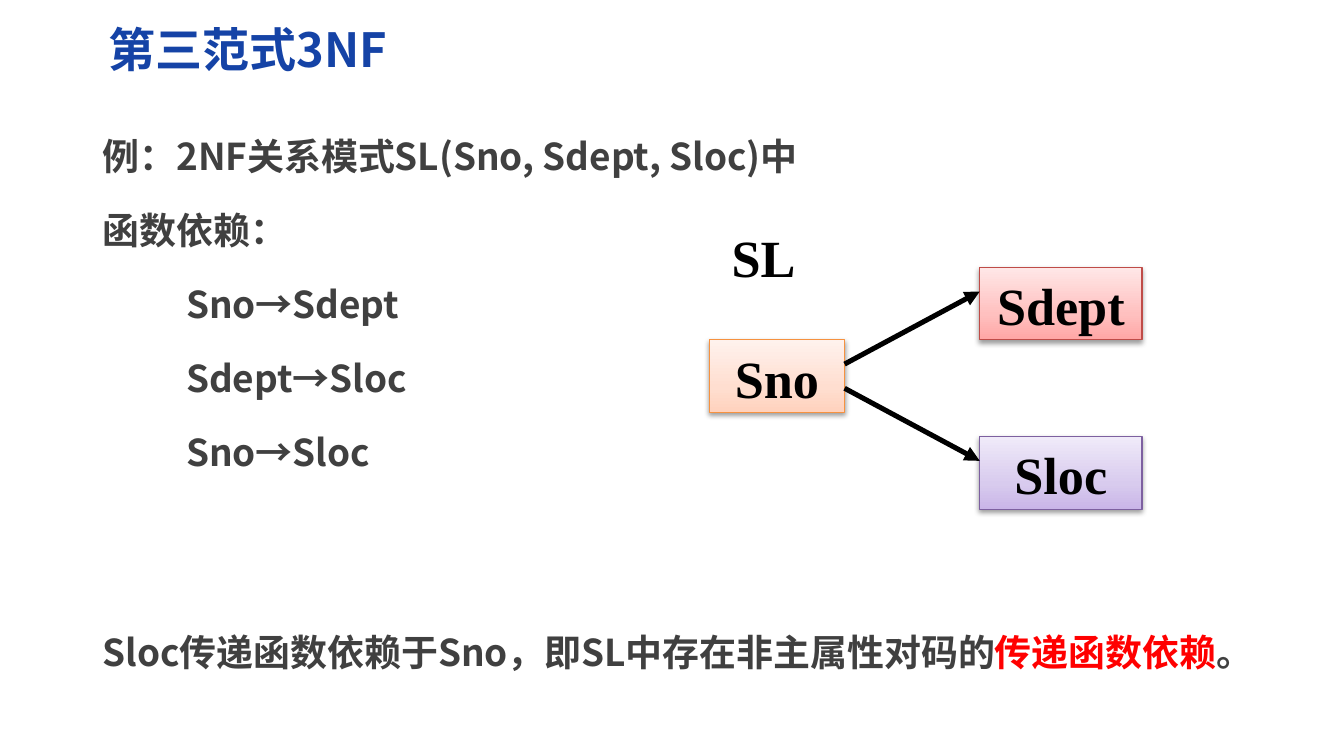
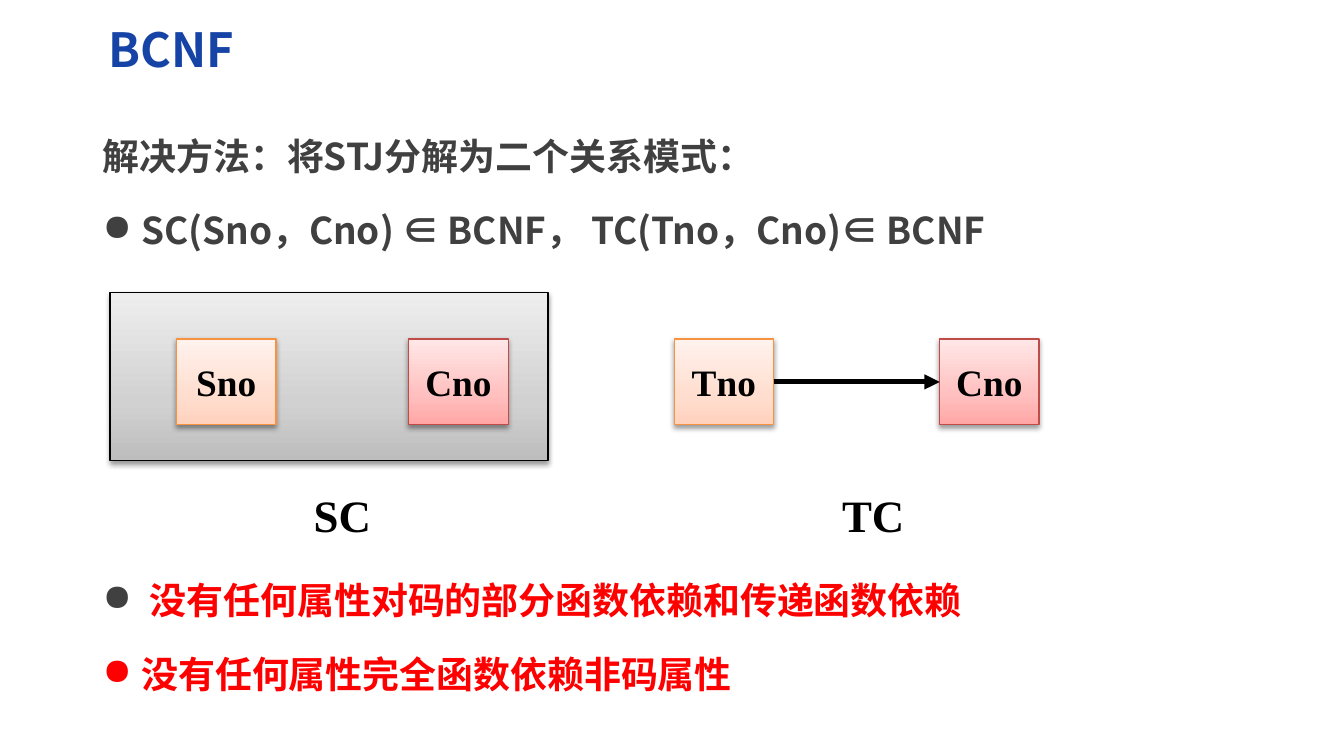
from copy import deepcopy
from dataclasses import dataclass
from lxml.etree import SubElement
from pptx import Presentation
from pptx.dml.color import RGBColor
from pptx.enum.shapes import MSO_CONNECTOR, MSO_SHAPE
from pptx.enum.text import MSO_ANCHOR, MSO_AUTO_SIZE, PP_ALIGN
from pptx.oxml.ns import qn
from pptx.util import Inches, Pt

BLUE = RGBColor(0x15, 0x43, 0xA6)
GREY = RGBColor(0x40, 0x40, 0x40)
RED = RGBColor(0xFF, 0x00, 0x00)
BLACK = RGBColor(0x00, 0x00, 0x00)
SANS = "Noto Sans CJK SC"
SERIF = "Times New Roman"


def palette(line, *stops):
    return RGBColor.from_string(line), [RGBColor.from_string(stop) for stop in stops]


ORANGE_BOX = palette("F69240", "FFD2BD", "FFDED0", "FFF2ED")
RED_BOX = palette("BF4C48", "FFA6A5", "FFC0BF", "FFE7E7")
PURPLE_BOX = palette("7D60A0", "C9B5E8", "D8CBEE", "F0EAF9")
GREY_BOX = palette("000000", "BDBDBD", "D1D1D1", "EEEEEE")


@dataclass
class Grid:
    left: float
    top: float
    width: float
    height: float
    columns: int
    rows: int

    def point(self, column, row):
        return (Inches(self.left + column * self.width / self.columns),
                Inches(self.top + row * self.height / self.rows))

    def area(self, column, row, columns, rows):
        left, top = self.point(column, row)
        right, bottom = self.point(column + columns, row + rows)
        return left, top, right - left, bottom - top

    def region(self, column, row, columns, rows, inner_columns, inner_rows):
        inches = [length / Inches(1) for length in self.area(column, row, columns, rows)]
        return Grid(*inches, inner_columns, inner_rows)


PAGE = Grid(0, 0, 11.11, 6.25, 100, 100)


def add_span(para, text, font, size, color):
    span = para.add_run()
    span.text = text
    span.font.name = font
    span.font.size = Pt(size)
    span.font.bold = True
    span.font.color.rgb = color
    SubElement(span.font._element, qn("a:ea")).set("typeface", font)


def add_title(page, text):
    title = page.shapes.title
    title.left, title.top, title.width, title.height = PAGE.area(7.11, 1.92, 88.3, 9.12)
    frame = title.text_frame
    frame.auto_size = MSO_AUTO_SIZE.NONE
    frame.vertical_anchor = MSO_ANCHOR.MIDDLE
    frame.margin_left = frame.margin_right = Inches(0.11)
    frame.margin_top = frame.margin_bottom = Inches(0.06)
    para = frame.paragraphs[0]
    para.alignment = PP_ALIGN.LEFT
    add_span(para, text, SANS, 28, BLUE)


def add_indent(para, indent, bullet):
    properties = para._p.get_or_add_pPr()
    properties.set("marL", str(Inches(indent)))
    if bullet is not None:
        properties.set("indent", str(-Inches(indent)))
        color = SubElement(properties, qn("a:buClr"))
        SubElement(color, qn("a:srgbClr")).set("val", str(bullet))
        SubElement(properties, qn("a:buChar")).set("char", "●")


def add_body(page, top, lines):
    box = page.shapes.add_textbox(*PAGE.area(6.75, top, 88.57, 9.78 * len(lines)))
    frame = box.text_frame
    frame.word_wrap = True
    frame.margin_top = frame.margin_bottom = 0
    for index, (indent, bullet, spans) in enumerate(lines):
        para = frame.add_paragraph() if index else frame.paragraphs[0]
        para.line_spacing = Pt(44)
        add_indent(para, indent, bullet)
        for text, color in spans:
            add_span(para, text, SANS, 22, color)


def add_label(shape, text, size, anchor=MSO_ANCHOR.TOP):
    frame = shape.text_frame
    frame.word_wrap = True
    frame.vertical_anchor = anchor
    para = frame.paragraphs[0]
    para.alignment = PP_ALIGN.CENTER
    add_span(para, text, SERIF, size, BLACK)


def add_caption(page, area, text, size):
    add_label(page.shapes.add_textbox(*area), text, size)


def add_shadow(shape):
    shape.shadow.inherit = False
    effects = shape._element.spPr.find(qn("a:effectLst"))
    shadow = SubElement(effects, qn("a:outerShdw"), blurRad=str(Pt(3.1)),
                        dist=str(Pt(1.6)), dir="5400000", rotWithShape="0")
    color = SubElement(shadow, qn("a:srgbClr"), val=str(BLACK))
    SubElement(color, qn("a:alpha"), val="38000")


def add_box(page, area, colors):
    line, stops = colors
    shape = page.shapes.add_shape(MSO_SHAPE.RECTANGLE, *area)
    shape.fill.gradient()
    shape.fill.gradient_angle = 90
    stop_list = shape._element.spPr.find(qn("a:gradFill")).find(qn("a:gsLst"))
    stop_list.append(deepcopy(stop_list[0]))
    for stop, color, position in zip(shape.fill.gradient_stops, stops, (0, 0.35, 1)):
        stop.color.rgb = color
        stop.position = position
    shape.line.color.rgb = line
    shape.line.width = Pt(0.75)
    add_shadow(shape)
    return shape


def add_arrow(page, start, end):
    arrow = page.shapes.add_connector(MSO_CONNECTOR.STRAIGHT, *start, *end)
    arrow.line.color.rgb = BLACK
    arrow.line.width = Pt(3)
    SubElement(arrow.line._get_or_add_ln(), qn("a:tailEnd"), type="triangle")
    SubElement(arrow._element.spPr, qn("a:effectLst"))


def add_dependency_diagram(page, grid):
    add_caption(page, grid.area(0, 0, 6, 3), "SL", 31.1)
    for text, column, row, columns, colors in (
            ("Sno", 1, 5, 5, ORANGE_BOX),
            ("Sdept", 11, 2, 6, RED_BOX),
            ("Sloc", 11, 9, 6, PURPLE_BOX)):
        add_label(add_box(page, grid.area(column, row, columns, 3), colors), text, 31.1)
    for start_row, end_row in ((6, 3), (7, 10)):
        add_arrow(page, grid.point(6, start_row), grid.point(11, end_row))


def add_decomposition_diagram(page, grid):
    add_box(page, grid.area(0, 0, 13.2, 19.6), GREY_BOX)
    for text, column, colors in (
            ("Sno", 2, ORANGE_BOX), ("Cno", 9, RED_BOX),
            ("Tno", 17, ORANGE_BOX), ("Cno", 25, RED_BOX)):
        shape = add_box(page, grid.area(column, 5.4, 3, 10), colors)
        add_label(shape, text, 22.2, MSO_ANCHOR.MIDDLE)
    add_arrow(page, grid.point(20, 10.4), grid.point(25, 10.4))
    for text, column in (("SC", 5), ("TC", 21)):
        add_caption(page, grid.area(column, 22, 4, 10), text, 26.7)


def add_page(deck, title):
    page = deck.slides.add_slide(deck.slide_layouts[5])
    add_title(page, title)
    return page


def build_third_form(deck):
    page = add_page(deck, "第三范式3NF")
    add_body(page, 13.76, [
        (0, None, [("例：2NF关系模式SL(Sno, Sdept, Sloc)中", GREY)]),
        (0, None, [("函数依赖：", GREY)]),
        *[(0.69, None, [(text, GREY)])
          for text in ("Sno→Sdept", "Sdept→Sloc", "Sno→Sloc")],
    ])
    add_body(page, 79.36, [(0, None, [
        ("Sloc传递函数依赖于Sno，即SL中存在非主属性对码的", GREY),
        ("传递函数依赖", RED),
        ("。", GREY),
    ])])
    add_dependency_diagram(page, PAGE.region(50.77, 28.96, 34.2, 38.4, 17, 12))


def build_boyce_codd(deck):
    page = add_page(deck, "BCNF")
    add_body(page, 13.76, [
        (0, None, [("解决方法：将STJ分解为二个关系模式：", GREY)]),
        (0.32, GREY, [("SC(Sno，Cno) ∈ BCNF， TC(Tno，Cno)∈ BCNF", GREY)]),
    ])
    add_body(page, 72.48, [
        (0.39, GREY, [("没有任何属性对码的部分函数依赖和传递函数依赖", RED)]),
        (0.32, RED, [("没有任何属性完全函数依赖非码属性", RED)]),
    ])
    add_decomposition_diagram(page, PAGE.region(8.19, 38.72, 69.13, 36.32, 28, 32))


def main():
    deck = Presentation()
    deck.slide_width = Inches(PAGE.width)
    deck.slide_height = Inches(PAGE.height)
    build_third_form(deck)
    build_boyce_codd(deck)
    deck.save("out.pptx")


if __name__ == "__main__":
    main()
